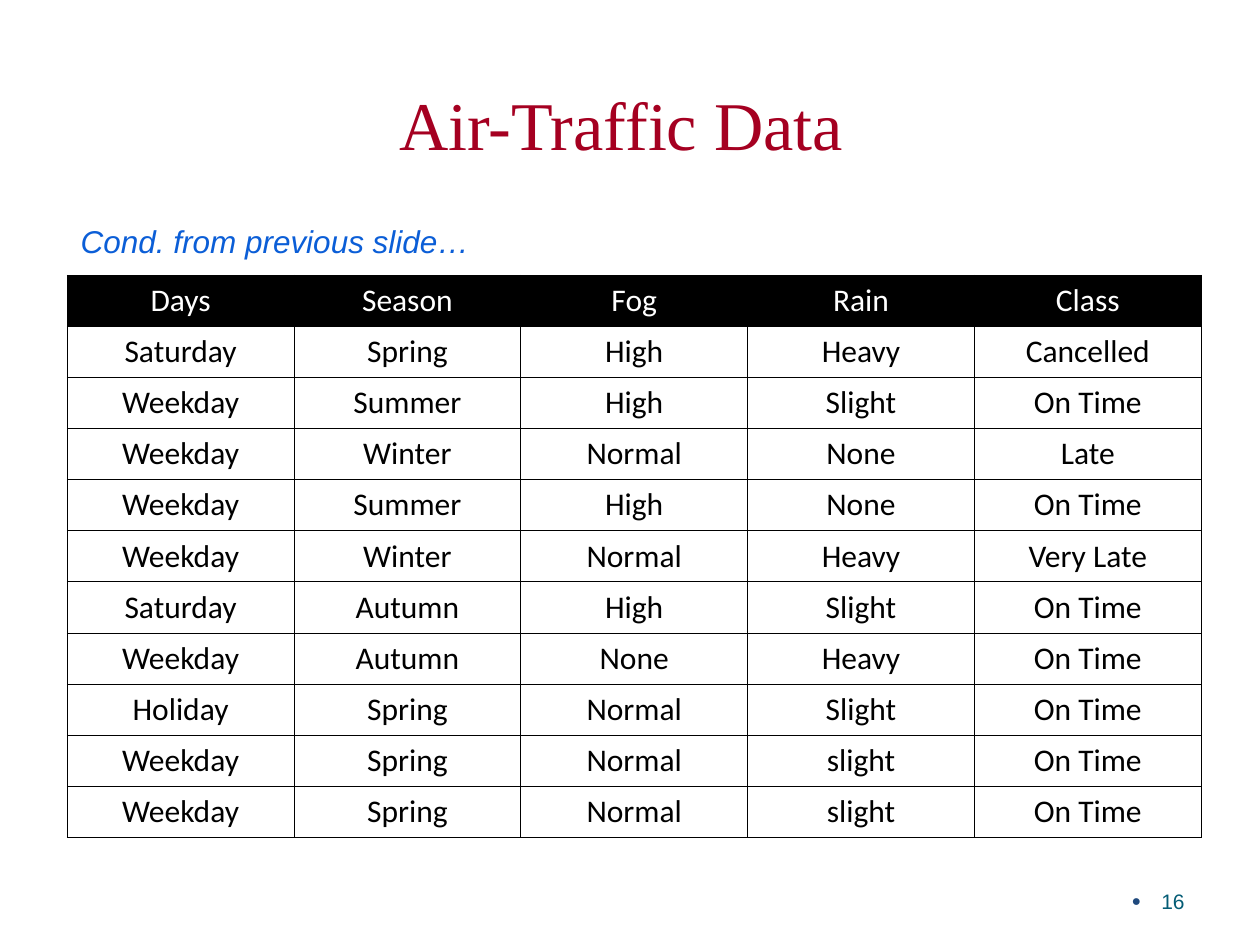
import pptx
import pptx.dml.color
import pptx.enum.text
import pptx.oxml
import pptx.oxml.ns
import pptx.util

Pt = pptx.util.Pt
ALIGN = pptx.enum.text.PP_ALIGN
ANCHOR = pptx.enum.text.MSO_ANCHOR

FLIGHTS = [
    ("Days", "Season", "Fog", "Rain", "Class"),
    ("Saturday", "Spring", "High", "Heavy", "Cancelled"),
    ("Weekday", "Summer", "High", "Slight", "On Time"),
    ("Weekday", "Winter", "Normal", "None", "Late"),
    ("Weekday", "Summer", "High", "None", "On Time"),
    ("Weekday", "Winter", "Normal", "Heavy", "Very Late"),
    ("Saturday", "Autumn", "High", "Slight", "On Time"),
    ("Weekday", "Autumn", "None", "Heavy", "On Time"),
    ("Holiday", "Spring", "Normal", "Slight", "On Time"),
    ("Weekday", "Spring", "Normal", "slight", "On Time"),
    ("Weekday", "Spring", "Normal", "slight", "On Time"),
]


def color(value):
    return pptx.dml.color.RGBColor.from_string(value)


def add_xml(parent, tag, inner="", attributes=""):
    namespace = pptx.oxml.ns.nsdecls("a")
    parent.append(pptx.oxml.parse_xml(
        f"<a:{tag} {namespace} {attributes}>{inner}</a:{tag}>"))


def write(frame, text, ink, align=ALIGN.LEFT, **formats):
    para = frame.paragraphs[0]
    para.alignment = align
    span = para.add_run()
    span.text = text
    for name, value in formats.items():
        setattr(span.font, name, value)
    span.font.color.rgb = color(ink)
    return para


def place(shape, box):
    for name, value in zip(("left", "top", "width", "height"), box):
        setattr(shape, name, Pt(value))


def add_title(page, box):
    title = page.shapes.title
    place(title, box)
    title.text_frame.vertical_anchor = ANCHOR.MIDDLE
    write(title.text_frame, "Air-Traffic Data", "A50021", ALIGN.CENTER,
          size=Pt(39), name="Times New Roman")


def add_page_number(page, box):
    frame = page.shapes.add_textbox(*map(Pt, box)).text_frame
    frame.word_wrap = True
    frame.vertical_anchor = ANCHOR.MIDDLE
    para = write(frame, "16", "045C75", ALIGN.RIGHT, size=Pt(12), name="Arial")
    # Hanging bullet
    properties = para._p.get_or_add_pPr()
    properties.set("marL", str(Pt(17)))
    properties.set("indent", str(-Pt(17)))
    add_xml(properties, "buClr", '<a:srgbClr val="1F497D"/>')
    add_xml(properties, "buSzPct", attributes='val="75000"')
    add_xml(properties, "buFont", attributes='typeface="Arial"')
    add_xml(properties, "buChar", attributes='char="●"')


def add_borders(cell):
    properties = cell._tc.get_or_add_tcPr()
    line = '<a:solidFill><a:srgbClr val="000000"/></a:solidFill>'
    for side in ("lnL", "lnR", "lnT", "lnB"):
        add_xml(properties, side, line, f'w="{Pt(0.45)}"')


def add_flight_table(page, box):
    table = page.shapes.add_table(
        len(FLIGHTS), len(FLIGHTS[0]), *map(Pt, box)).table
    for row_number, values in enumerate(FLIGHTS):
        header = row_number == 0
        for column_number, text in enumerate(values):
            cell = table.cell(row_number, column_number)
            add_borders(cell)
            if header:
                cell.fill.solid()
                cell.fill.fore_color.rgb = color("000000")
            else:
                cell.fill.background()
            write(cell.text_frame, text, "FFFFFF" if header else "000000",
                  ALIGN.CENTER, size=Pt(18), name="Calibri", bold=False)


def add_continuation_note(page, box):
    frame = page.shapes.add_textbox(*map(Pt, box)).text_frame
    frame.word_wrap = True
    write(frame, "Cond. from previous slide…", "0B5ED7",
          size=Pt(18), name="Arial", italic=True)


def main():
    deck = pptx.Presentation()
    deck.slide_width, deck.slide_height = Pt(720), Pt(540)
    page = deck.slides.add_slide(deck.slide_layouts[5])
    page.background.fill.solid()
    page.background.fill.fore_color.rgb = color("FFFFFF")

    add_title(page, (31, 26.6, 648, 88))
    add_page_number(page, (516, 500.4, 168, 28.8))
    add_flight_table(page, (38.4, 157.3, 648, 321.2))
    add_continuation_note(page, (39, 123.3, 244, 29))
    deck.save("out.pptx")


if __name__ == "__main__":
    main()
